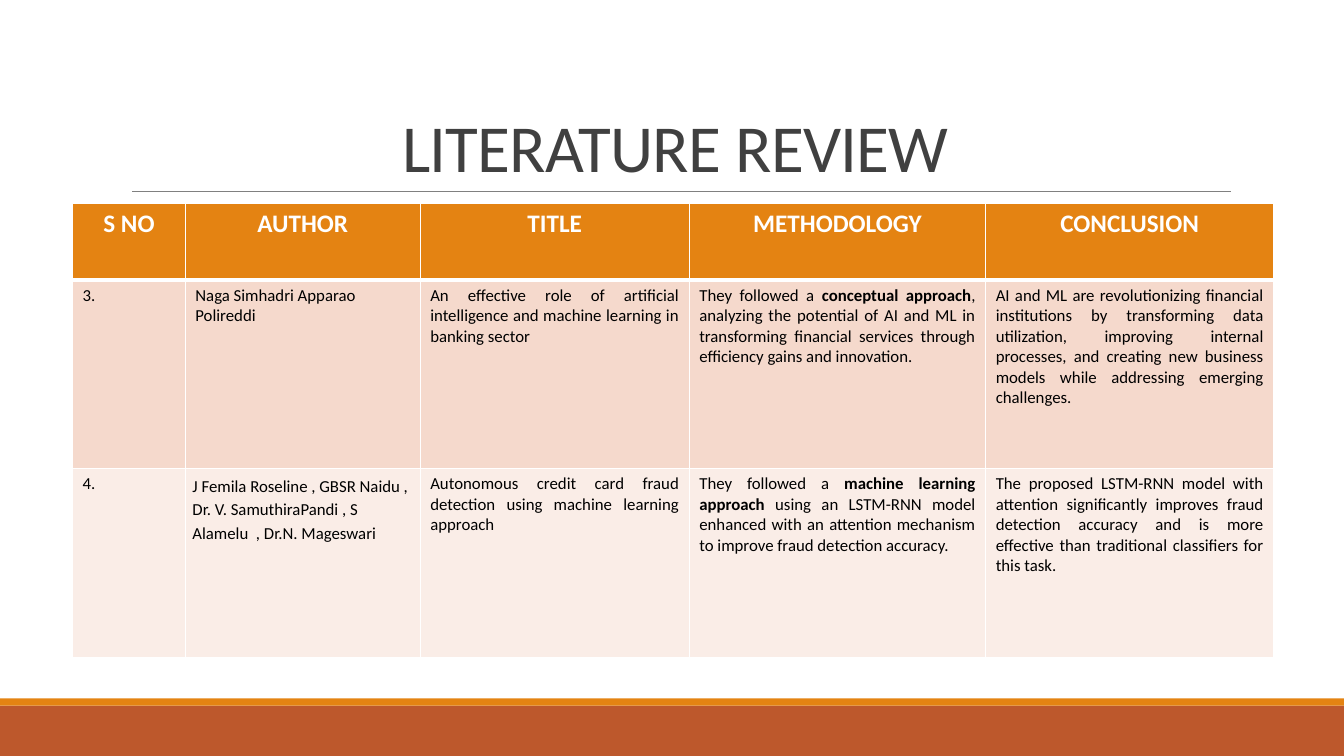
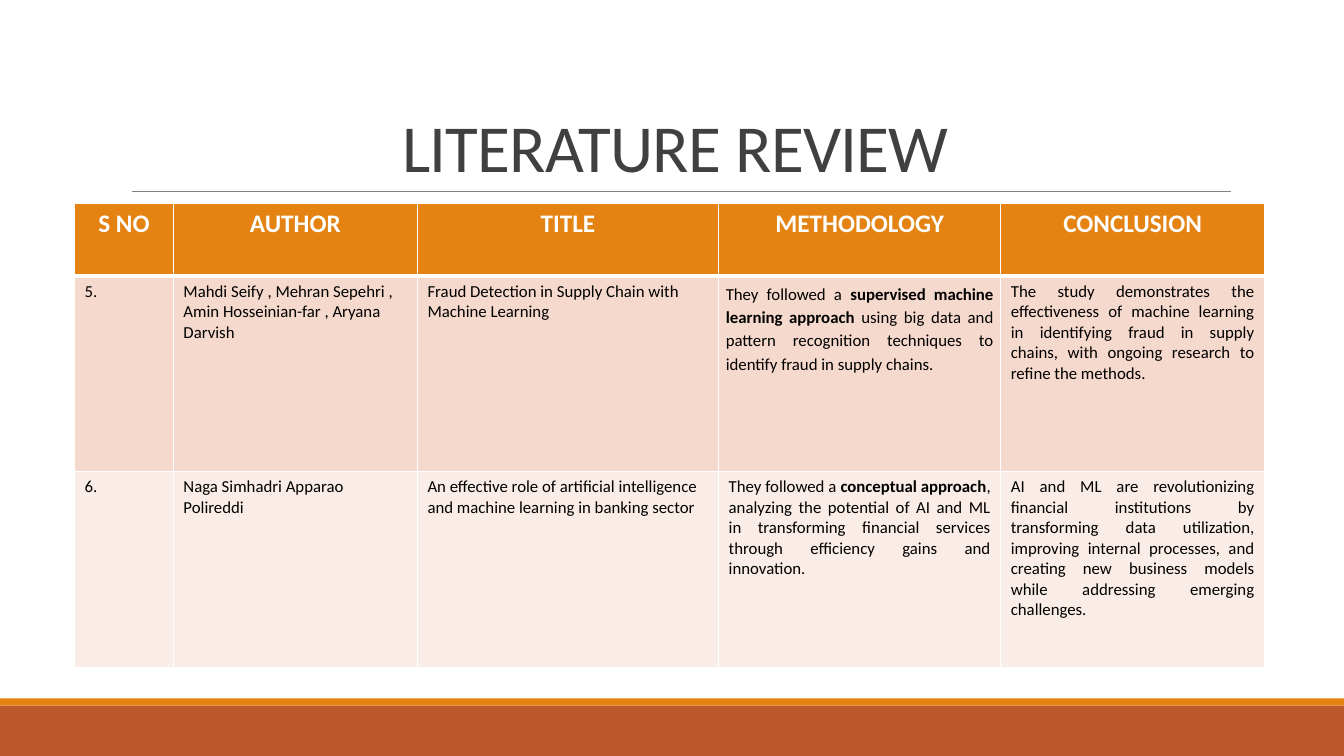
import pptx
import pptx.util
import pptx.dml.color
import pptx.enum.shapes
import pptx.enum.text
import pptx.oxml
import pptx.oxml.ns

Cm = pptx.util.Cm
Pt = pptx.util.Pt
RGBColor = pptx.dml.color.RGBColor
ALIGN = pptx.enum.text.PP_ALIGN

RUST = RGBColor(0xBD, 0x58, 0x2C)
ORANGE = RGBColor(0xE4, 0x83, 0x12)
GREY = RGBColor(0x80, 0x80, 0x80)
DARK = RGBColor(0x40, 0x40, 0x40)
WHITE = RGBColor(0xFF, 0xFF, 0xFF)
BLACK = RGBColor(0, 0, 0)
ROWS = [RGBColor(0xF5, 0xD9, 0xCC), RGBColor(0xFA, 0xED, 0xE7)]
FONT = "Calibri"
WIDE, HIGH = Cm(33.87), Cm(19.05)
HEADS = ["S NO", "AUTHOR", "TITLE", "METHODOLOGY", "CONCLUSION"]

BANKING = [
    "Naga Simhadri Apparao Polireddi",
    "An effective role of artificial intelligence and machine learning in banking sector",
    "They followed a *conceptual approach*, analyzing the potential of AI and ML in "
    "transforming financial services through efficiency gains and innovation.",
    "AI and ML are revolutionizing financial institutions by transforming data utilization, "
    "improving internal processes, and creating new business models while addressing "
    "emerging challenges.",
]
CREDIT = [
    "J Femila Roseline , GBSR Naidu , Dr. V. SamuthiraPandi , S Alamelu  , Dr.N. Mageswari ",
    "Autonomous credit card fraud detection using machine learning approach",
    "They followed a *machine learning approach* using an LSTM-RNN model enhanced with an "
    "attention mechanism to improve fraud detection accuracy.",
    "The proposed LSTM-RNN model with attention significantly improves fraud detection "
    "accuracy and is more effective than traditional classifiers for this task.",
]
SUPPLY = [
    "Mahdi Seify , Mehran Sepehri , Amin Hosseinian-far , Aryana Darvish",
    "Fraud Detection in Supply Chain with Machine Learning",
    "They followed a *supervised machine learning approach* using big data and pattern "
    "recognition techniques to identify fraud in supply chains.",
    "The study demonstrates the effectiveness of machine learning in identifying fraud in "
    "supply chains, with ongoing research to refine the methods.",
]


def style(run, size, color, bold=False):
    run.font.name = FONT
    run.font.size = Pt(size)
    run.font.bold = bold
    run.font.color.rgb = color


def add_band(slide, top, height, color):
    band = slide.shapes.add_shape(
        pptx.enum.shapes.MSO_SHAPE.RECTANGLE, 0, top, WIDE, height)
    band.shadow.inherit = False
    band.fill.solid()
    band.fill.fore_color.rgb = color
    band.line.fill.background()


def add_rule(slide):
    rule = slide.shapes.add_connector(
        pptx.enum.shapes.MSO_CONNECTOR.STRAIGHT, Cm(3.33), Cm(4.83), Cm(31.01), Cm(4.83))
    rule.line.color.rgb = GREY
    rule.line.width = Pt(0.5)
    pptx.oxml.ns.qn("a:effectLst")
    rule._element.spPr.append(pptx.oxml.parse_xml(
        f'<a:effectLst {pptx.oxml.ns.nsdecls("a")}/>'))


def set_title(slide, text):
    title = slide.shapes.title
    title.left, title.top = Cm(3.05), Cm(0.79)
    title.width, title.height = Cm(27.94), Cm(4.04)
    frame = title.text_frame
    frame.text = text
    frame.auto_size = pptx.enum.text.MSO_AUTO_SIZE.NONE
    frame.vertical_anchor = pptx.enum.text.MSO_ANCHOR.BOTTOM
    para = frame.paragraphs[0]
    para.alignment = ALIGN.CENTER
    para.line_spacing = 0.85
    style(para.runs[0], 48, DARK)
    para.runs[0].font._element.set("spc", "-50")


def add_slide(deck, text):
    slide = deck.slides.add_slide(deck.slide_layouts[5])
    add_band(slide, Cm(17.78), Cm(1.27), RUST)
    add_band(slide, Cm(17.6), Cm(0.18), ORANGE)
    add_rule(slide)
    set_title(slide, text)
    return slide


def set_edges(cell, top, bottom):
    props = cell._tc.get_or_add_tcPr()
    for side, width in (("L", 1), ("R", 1), ("T", top), ("B", bottom)):
        props.append(pptx.oxml.parse_xml(
            f'<a:ln{side} {pptx.oxml.ns.nsdecls("a")} w="{Pt(width)}"><a:solidFill>'
            f'<a:srgbClr val="{WHITE}"/></a:solidFill></a:ln{side}>'))


def fill_cell(cell, text, size, color, fill, align, bold=False):
    cell.fill.solid()
    cell.fill.fore_color.rgb = fill
    para = cell.text_frame.paragraphs[0]
    para.alignment = align
    for i, part in enumerate(text.split("*")):
        run = para.add_run()
        run.text = part
        style(run, size, color, bold or i % 2 == 1)


def loosen(cell):
    cell.margin_left = cell.margin_right = Cm(0.18)
    para = cell.text_frame.paragraphs[0]
    para.line_spacing = 1.14
    para.space_after = Pt(8)


def add_review(slide, left, widths, heights, first, papers, ragged, loose):
    grid = slide.shapes.add_table(
        len(papers) + 1, len(HEADS), Cm(left), Cm(5.13),
        Cm(sum(widths)), Cm(sum(heights))).table
    for col, width in zip(grid.columns, widths):
        col.width = Cm(width)
    for row, height in zip(grid.rows, heights):
        row.height = Cm(height)
    for c, head in enumerate(HEADS):
        cell = grid.cell(0, c)
        set_edges(cell, 1, 3)
        fill_cell(cell, head, 18, WHITE, ORANGE, ALIGN.CENTER, True)
    for r, paper in enumerate(papers):
        for c, text in enumerate([f"{first + r}.", *paper]):
            cell = grid.cell(r + 1, c)
            set_edges(cell, 3 if r == 0 else 1, 1)
            align = ALIGN.LEFT if c < ragged else ALIGN.JUSTIFY
            fill_cell(cell, text, 12, BLACK, ROWS[r % 2], align)
    loosen(grid.cell(*loose))


def main():
    deck = pptx.Presentation()
    deck.slide_width, deck.slide_height = WIDE, HIGH
    add_review(add_slide(deck, "LITERATURE REVIEW"), 1.83,
               [2.84, 5.92, 6.78, 7.47, 7.26], [1.93, 4.75, 4.75],
               3, [BANKING, CREDIT], 2, (2, 1))
    add_review(add_slide(deck, "LITERATURE REVIEW"), 1.88,
               [2.49, 6.15, 7.59, 7.11, 6.65], [1.83, 4.93, 4.93],
               5, [SUPPLY, BANKING], 3, (1, 3))
    deck.save("out.pptx")


if __name__ == "__main__":
    main()
